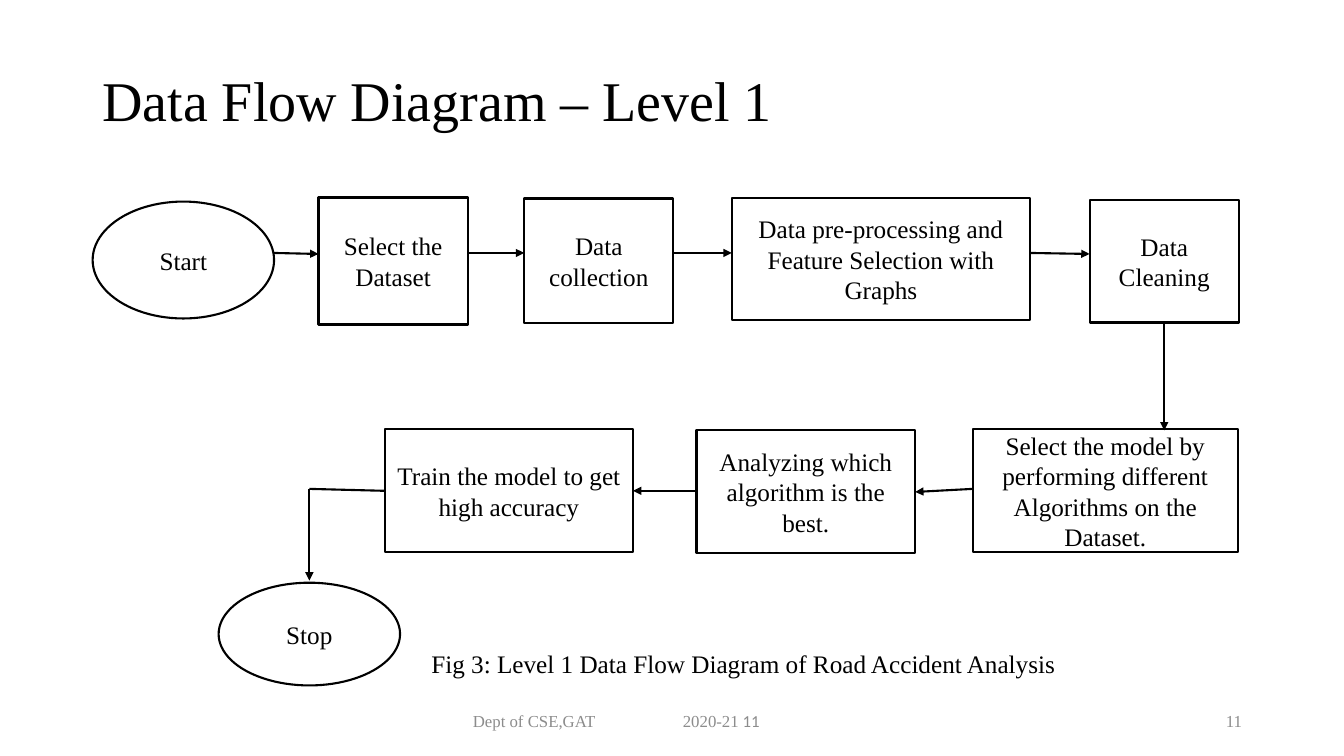
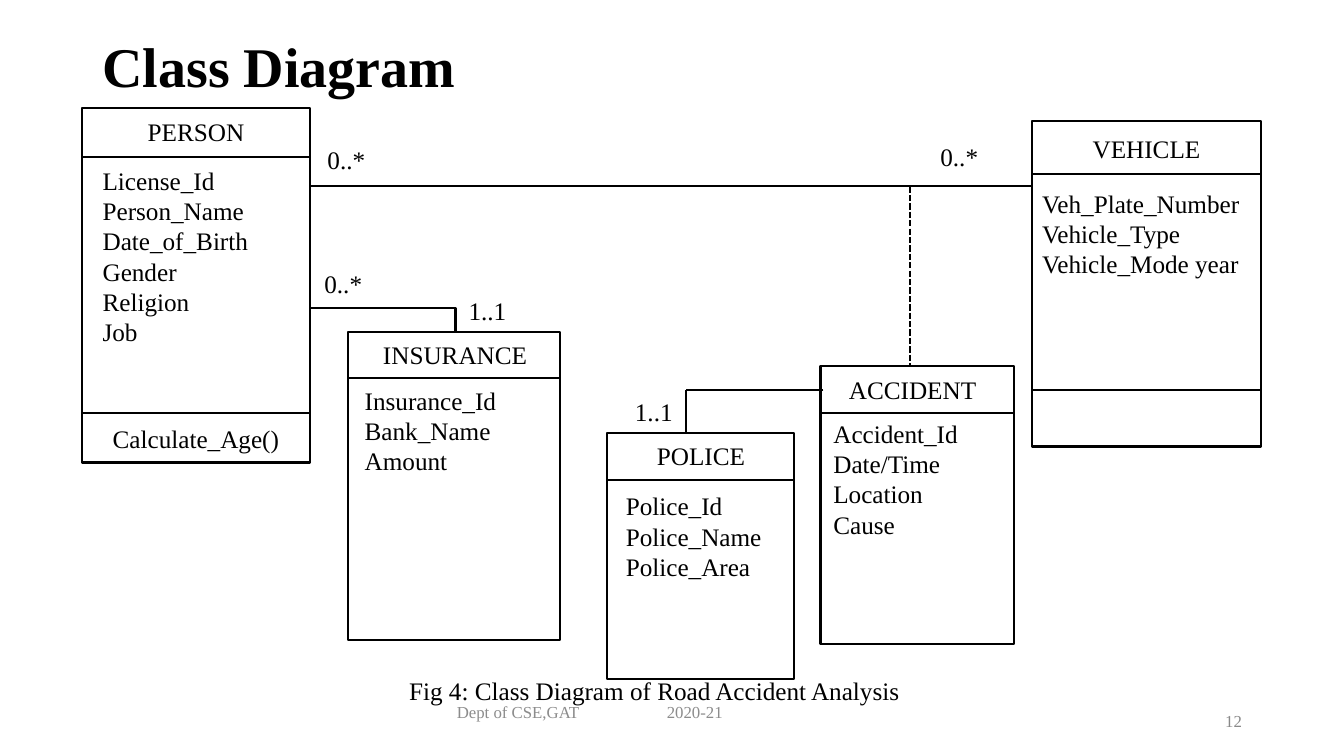
import itertools
from dataclasses import dataclass

import lxml.etree
import pptx
import pptx.dml.color
import pptx.enum.dml
import pptx.enum.shapes
import pptx.enum.text
import pptx.oxml.ns
import pptx.shapes.base
import pptx.shapes.connector
import pptx.slide
import pptx.text.text
import pptx.util

Pt = pptx.util.Pt
RGBColor = pptx.dml.color.RGBColor
qn = pptx.oxml.ns.qn
Align = pptx.enum.text.PP_ALIGN
Anchor = pptx.enum.text.MSO_ANCHOR
Shape = pptx.enum.shapes.MSO_SHAPE
Link = pptx.enum.shapes.MSO_CONNECTOR
Slide = pptx.slide.Slide

# Shared style
BLACK = RGBColor(0x00, 0x00, 0x00)
WHITE = RGBColor(0xFF, 0xFF, 0xFF)
GREY = RGBColor(0x8C, 0x8C, 0x8C)
NUMBER_GREY = RGBColor(0x89, 0x89, 0x89)
SERIF = "Times New Roman"
SANS = "Calibri"
LINE = 1.5
TEXT_H = 28.8
NAME_W = 163.4
FOOTER_TAB = 150


@dataclass
class Node:
    text: str
    x: float
    y: float
    w: float
    h: float
    kind: Shape = Shape.RECTANGLE

    @property
    def right(self) -> float:
        return self.x + self.w


@dataclass
class ClassBox:
    name: str
    x: float
    y: float
    w: float
    h: float
    head_y: float
    name_x: float
    name_y: float
    attrs: list[str]
    attrs_x: float
    attrs_y: float
    attrs_w: float
    foot_y: float | None = None
    method: str = ""


# Drawing functions
def add_run(p: pptx.text.text._Paragraph, text: str, size: float = 18,
            color: RGBColor = BLACK, font: str = SERIF, bold: bool = False) -> None:
    r = p.add_run()
    r.text = text
    r.font.size = Pt(size)
    r.font.name = font
    r.font.bold = bold
    r.font.color.rgb = color


def add_text(slide: Slide, lines: list[str], x: float, y: float, w: float,
             h: float = TEXT_H, align: Align = Align.LEFT, anchor: Anchor = Anchor.TOP,
             size: float = 18, color: RGBColor = BLACK,
             bold: bool = False) -> pptx.text.text.TextFrame:
    tf = slide.shapes.add_textbox(Pt(x), Pt(y), Pt(w), Pt(h)).text_frame
    tf.word_wrap = True
    tf.vertical_anchor = anchor
    for i, line in enumerate(lines):
        p = tf.add_paragraph() if i else tf.paragraphs[0]
        p.alignment = align
        add_run(p, line, size, color, bold=bold)
    return tf


def add_outline(slide: Slide, kind: Shape, x: float, y: float, w: float,
                h: float) -> pptx.shapes.base.BaseShape:
    sp = slide.shapes.add_shape(kind, Pt(x), Pt(y), Pt(w), Pt(h))
    sp.shadow.inherit = False
    sp.fill.background()
    sp.line.color.rgb = BLACK
    sp.line.width = Pt(LINE)
    return sp


def add_node(slide: Slide, node: Node) -> None:
    sp = add_outline(slide, node.kind, node.x, node.y, node.w, node.h)
    sp.fill.solid()
    sp.fill.fore_color.rgb = WHITE
    tf = sp.text_frame
    tf.word_wrap = True
    tf.vertical_anchor = Anchor.MIDDLE
    p = tf.paragraphs[0]
    p.alignment = Align.CENTER
    add_run(p, node.text)


def add_line(slide: Slide, x1: float, y1: float, x2: float, y2: float,
             arrow: bool = False, dashed: bool = False,
             elbow: bool = False) -> None:
    kind = Link.ELBOW if elbow else Link.STRAIGHT
    c = slide.shapes.add_connector(kind, Pt(x1), Pt(y1), Pt(x2), Pt(y2))
    c.line.color.rgb = BLACK
    c.line.width = Pt(LINE)
    if dashed:
        c.line.dash_style = pptx.enum.dml.MSO_LINE.SQUARE_DOT
    sp_pr = c._element.spPr
    if elbow:
        sp_pr.find(qn("a:prstGeom")).set("prst", "bentConnector2")
    if arrow:
        lxml.etree.SubElement(sp_pr.find(qn("a:ln")), qn("a:tailEnd"), type="triangle")
    lxml.etree.SubElement(sp_pr, qn("a:effectLst"))


def add_class(slide: Slide, box: ClassBox) -> None:
    add_outline(slide, Shape.RECTANGLE, box.x, box.y, box.w, box.h)
    for y in (box.head_y, box.foot_y):
        if y is not None:
            add_line(slide, box.x, y, box.x + box.w, y)
    add_text(slide, [box.name], box.name_x, box.name_y, NAME_W, align=Align.CENTER)
    add_text(slide, box.attrs, box.attrs_x, box.attrs_y, box.attrs_w,
             7.2 + 21.6 * len(box.attrs))
    if box.method:
        add_text(slide, [box.method], box.x, box.foot_y + 3.6, box.w, align=Align.CENTER)


def add_title(slide: Slide, text: str, y: float, h: float, bold: bool = False) -> None:
    tf = add_text(slide, [text], 66.2, y, 828, h, anchor=Anchor.MIDDLE, size=40, bold=bold)
    tf.paragraphs[0].line_spacing = 0.9


def add_footer(slide: Slide, x: float, y: float, number: str,
               number_color: RGBColor, extra: str = "") -> None:
    tf = add_text(slide, ["Dept of CSE,GAT\t2020-21"], x, y, 324,
                  anchor=Anchor.MIDDLE, size=12, color=GREY)
    p = tf.paragraphs[0]
    tabs = lxml.etree.SubElement(p._p.get_or_add_pPr(), qn("a:tabLst"))
    lxml.etree.SubElement(tabs, qn("a:tab"), pos=str(Pt(FOOTER_TAB)), algn="l")
    if extra:
        add_run(p, " " + extra, 12, GREY, SANS)
    add_text(slide, [number], 710.6, 500.4, 183.6, align=Align.RIGHT,
             anchor=Anchor.MIDDLE, size=12, color=number_color)


prs = pptx.Presentation()
prs.slide_width = Pt(960)
prs.slide_height = Pt(540)
blank = prs.slide_layouts[6]

# Slide 1: data flow
flow = prs.slides.add_slide(blank)
add_title(flow, "Data Flow Diagram – Level 1", 21.6, 104.4)

top_row = [
    Node("Start", 66.2, 144, 129.6, 83.5, Shape.OVAL),
    Node("Select the Dataset", 227.5, 141.1, 106.6, 90.7),
    Node("Data collection", 374.4, 141.8, 106.6, 89.3),
    Node("Data pre-processing and Feature Selection with Graphs", 522.7, 141.1, 213.1, 87.8),
    Node("Data Cleaning", 778.3, 142.6, 106.6, 87.8),
]
bottom_row = [
    Node("Select the model by performing different Algorithms on the Dataset.",
         694.8, 306.7, 189.4, 87.8),
    Node("Analyzing which algorithm is the best.", 497.5, 307.4, 156.2, 87.8),
    Node("Train the model to get high accuracy", 275, 306.7, 177.1, 87.8),
]
stop = Node("Stop", 156.2, 416.2, 129.6, 73.4, Shape.OVAL)
for node in top_row + bottom_row + [stop]:
    add_node(flow, node)

top_ys = [(180.7, 181.4), (180.7, 180.7), (180.7, 180.7), (180.7, 181.4)]
for (a, b), (y1, y2) in zip(itertools.pairwise(top_row), top_ys):
    add_line(flow, a.right, y1, b.x, y2, arrow=True)
bottom_ys = [(349.2, 351.4), (350.6, 350.6)]
for (a, b), (y1, y2) in zip(itertools.pairwise(bottom_row), bottom_ys):
    add_line(flow, a.x, y1, b.right, y2, arrow=True)
add_line(flow, 831.6, 230.4, 831.6, 307.4, arrow=True)
stop_x = stop.x + stop.w / 2
add_line(flow, bottom_row[-1].x, 350.6, stop_x, 349.2)
add_line(flow, stop_x, 349.2, stop_x, 414.7, arrow=True)

add_text(flow, ["Fig 3: Level 1 Data Flow Diagram of Road Accident Analysis"], 301, 459.4, 517)
add_footer(flow, 330.7, 500.4, "11", GREY, extra="11")

# Slide 2: class diagram
classes = prs.slides.add_slide(blank)
add_title(classes, "Class Diagram", 0.7, 97.9, bold=True)
add_footer(classes, 319.2, 494, "12", NUMBER_GREY)

boxes = [
    ClassBox("PERSON", 58.3, 77, 163.4, 253.4, 112.3, 58.3, 79.9,
             ["License_Id", "Person_Name", "Date_of_Birth", "Gender", "Religion", "Job"],
             66.2, 114.5, 144.7, 295.2, "Calculate_Age()"),
    ClassBox("VEHICLE", 737.3, 86.4, 163.4, 232.6, 124.6, 737.3, 91.4,
             ["Veh_Plate_Number", "Vehicle_Type", "Vehicle_Mode year"],
             737.3, 131, 163.4, 278.6),
    ClassBox("ACCIDENT", 586.1, 261.4, 138.2, 198.7, 295.2, 570.2, 264.2,
             ["Accident_Id", "Date/Time", "Location", "Cause"], 588.2, 295.2, 124.6),
    ClassBox("POLICE", 433.4, 309.6, 133.9, 175.7, 342.7, 419, 311,
             ["Police_Id", "Police_Name", "Police_Area"], 439.9, 347, 121),
    ClassBox("INSURANCE", 248.4, 236.9, 151.9, 220.3, 270, 243.4, 239,
             ["Insurance_Id", "Bank_Name", "Amount"], 253.4, 271.4, 121),
]
for box in boxes:
    add_class(classes, box)

# Associations and multiplicities
add_line(classes, 221, 133.2, 737.3, 133.2)
add_line(classes, 650.2, 133.2, 650.2, 261.4, dashed=True)
add_line(classes, 221, 220.3, 325.4, 236.9, elbow=True)
add_line(classes, 588.2, 278.6, 490.3, 278.6)
add_line(classes, 490.3, 278.6, 490.3, 309.6)
for text, x, y in [("0..*", 226.8, 99.4), ("0..*", 664.6, 97.2), ("0..*", 224.6, 187.9),
                   ("1..1", 327.6, 207.4), ("1..1", 446.4, 279.4)]:
    add_text(classes, [text], x, y, 66.2)

add_text(classes, ["Fig 4: Class Diagram of Road Accident Analysis"], 285.1, 478.8, 466.6)

prs.save("out.pptx")
